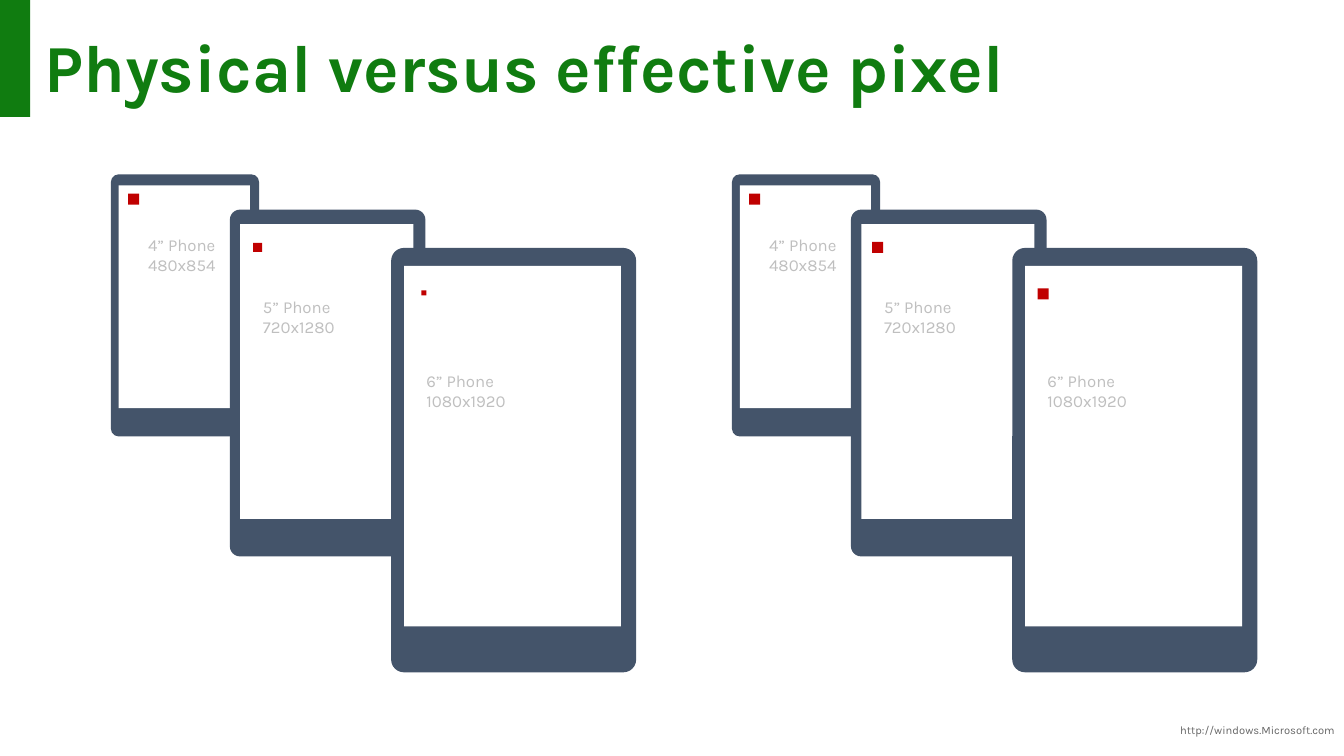
from pptx import Presentation
from pptx.dml.color import RGBColor
from pptx.enum.shapes import MSO_SHAPE
from pptx.enum.text import MSO_ANCHOR, PP_ALIGN
from pptx.util import Inches, Pt

RECTANGLE = MSO_SHAPE.RECTANGLE
ROUNDED = MSO_SHAPE.ROUNDED_RECTANGLE
TOP = MSO_ANCHOR.TOP
LEFT, RIGHT = PP_ALIGN.LEFT, PP_ALIGN.RIGHT

FONT = "Karla"
COLORS = {
    "green": "107C10",
    "body": "44546A",
    "screen": "FFFFFF",
    "pixel": "C00000",
    "label": "BFBFBF",
    "source": "666666",
}

# Body box and label box, both relative to the corner of the phone group
PHONES = [
    (["4” Phone", "480x854"], (0, 0, 1.47, 2.6), (0.27, 0.55, 0.87, 0.5)),
    (["5” Phone", "720x1280"], (1.18, 0.35, 1.94, 3.44), (1.41, 1.16, 0.92, 0.5)),
    (["6” Phone", "1080x1920"], (2.78, 0.73, 2.43, 4.21), (3.03, 1.9, 1.01, 0.5)),
]
# Left, top and size of the pixel on each phone
PHYSICAL_PIXELS = [(0.17, 0.19, 0.11), (1.41, 0.68, 0.09), (3.08, 1.15, 0.05)]
EFFECTIVE_PIXELS = [(0.17, 0.19, 0.11), (1.39, 0.67, 0.11), (3.03, 1.13, 0.11)]


def add_block(shapes, kind, box, color):
    shape = shapes.add_shape(kind, *map(Inches, box))
    shape.shadow.inherit = False
    shape.fill.solid()
    shape.fill.fore_color.rgb = RGBColor.from_string(COLORS[color])
    shape.line.fill.background()
    return shape


def add_text(shapes, lines, box, size, color, bold=False, align=LEFT, wrap=True):
    """Add a text box with one paragraph per line and return its frame."""
    frame = shapes.add_textbox(*map(Inches, box)).text_frame
    frame.word_wrap = wrap
    frame.vertical_anchor = TOP
    for index, line in enumerate(lines):
        paragraph = frame.add_paragraph() if index else frame.paragraphs[0]
        paragraph.alignment = align
        run = paragraph.add_run()
        run.text = line
        run.font.name = FONT
        run.font.size = Pt(size)
        run.font.bold = bold
        run.font.color.rgb = RGBColor.from_string(COLORS[color])
    return frame


def add_header(slide, box):
    left, top, width, height = box
    add_block(slide.shapes, RECTANGLE, (left, top, 0.3, height), "green")
    title_box = (left + 0.29, top + 0.22, width - 0.59, 1.07)
    frame = add_text(slide.shapes, ["Physical versus effective pixel"],
                     title_box, 48, "green", bold=True)
    frame.margin_left = frame.margin_right = Inches(0.15)
    frame.margin_top = frame.margin_bottom = Inches(0.12)
    frame.paragraphs[0].line_spacing = 0.9


def add_phones(slide, left, top, pixels):
    """Add a group of overlapping phones, each showing one pixel."""
    shapes = slide.shapes.add_group_shape().shapes
    for (lines, body, label), (pixel_x, pixel_y, size) in zip(PHONES, pixels):
        x, y, width, height = body
        x, y = left + x, top + y
        case = add_block(shapes, ROUNDED, (x, y, width, height), "body")
        case.adjustments[0] = 0.052
        screen = (x + 0.053 * width, y + 0.042 * height, 0.885 * width, 0.85 * height)
        add_block(shapes, RECTANGLE, screen, "screen")
        add_block(shapes, RECTANGLE, (left + pixel_x, top + pixel_y, size, size), "pixel")
        label_x, label_y, *label_size = label
        add_text(shapes, lines, (left + label_x, top + label_y, *label_size),
                 12, "label", wrap=False)


def add_source(slide, box):
    add_text(slide.shapes, ["http://windows.Microsoft.com"], box, 8, "source", align=RIGHT)


def main():
    presentation = Presentation()
    presentation.slide_width = Inches(13.33)
    presentation.slide_height = Inches(7.5)
    slide = presentation.slides.add_slide(presentation.slide_layouts[6])
    add_source(slide, (11.52, 7.13, 1.82, 0.33))
    add_header(slide, (0, 0, 13.33, 1.16))
    add_phones(slide, 1.1, 1.73, PHYSICAL_PIXELS)
    add_phones(slide, 7.26, 1.73, EFFECTIVE_PIXELS)
    presentation.save("out.pptx")


if __name__ == "__main__":
    main()
